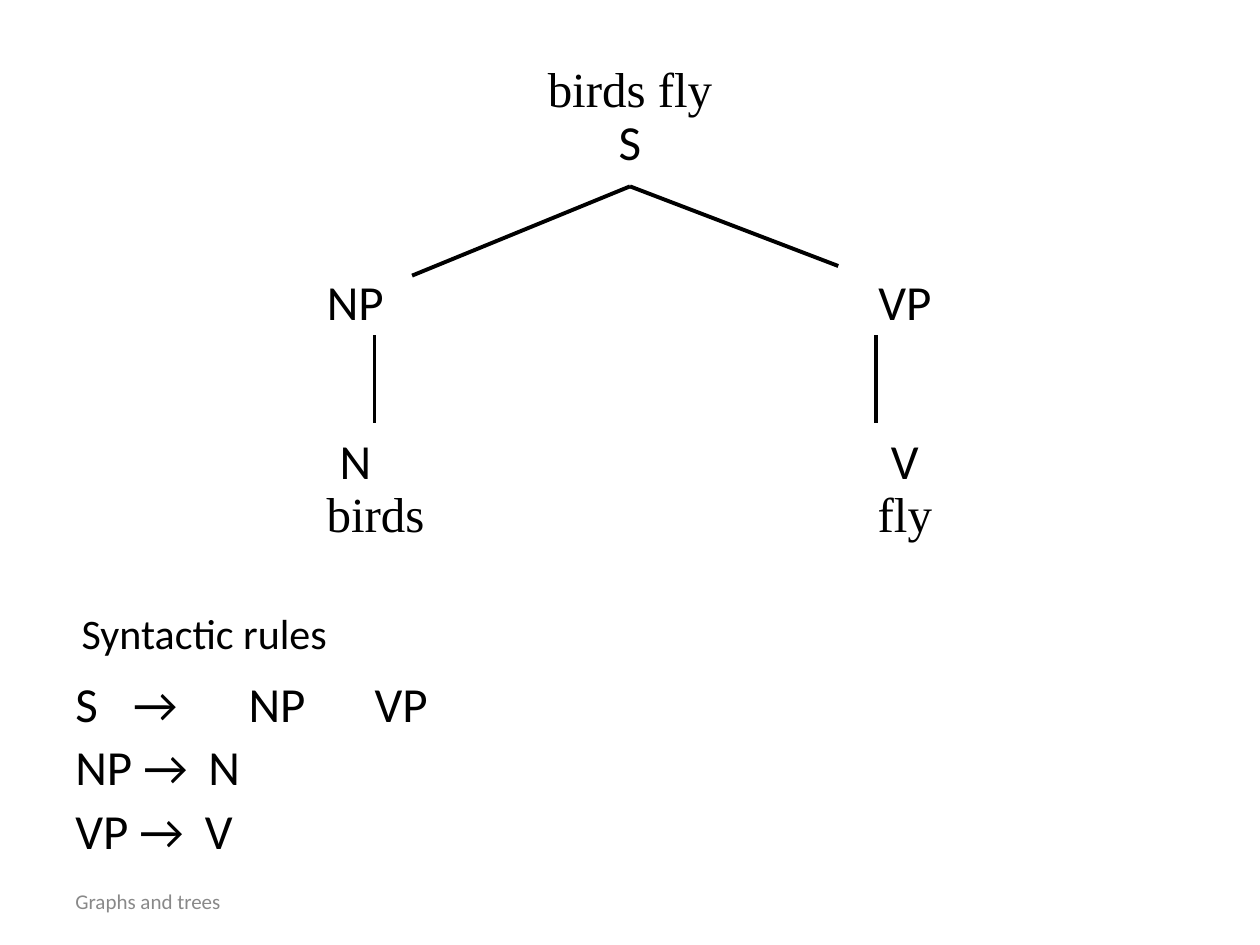
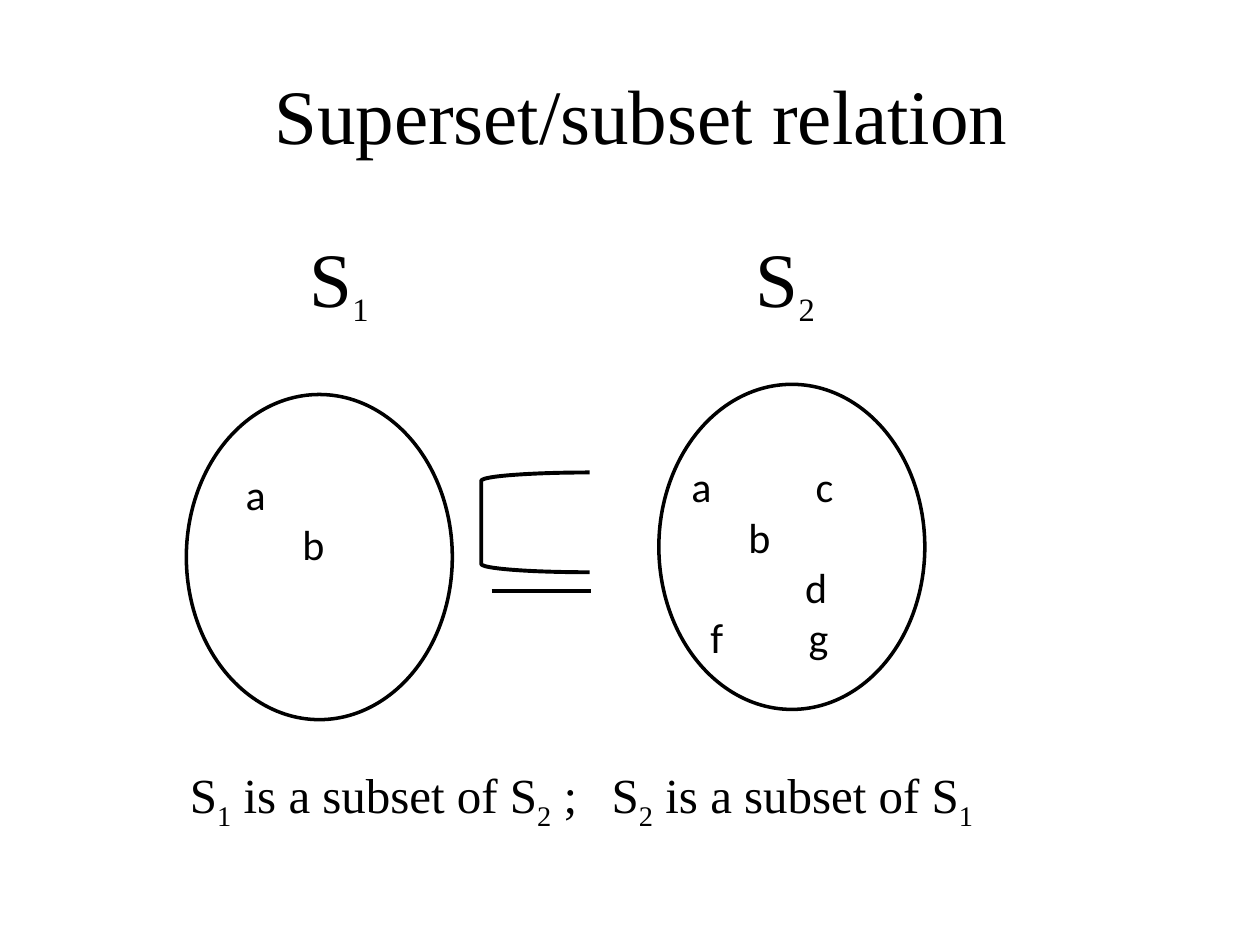
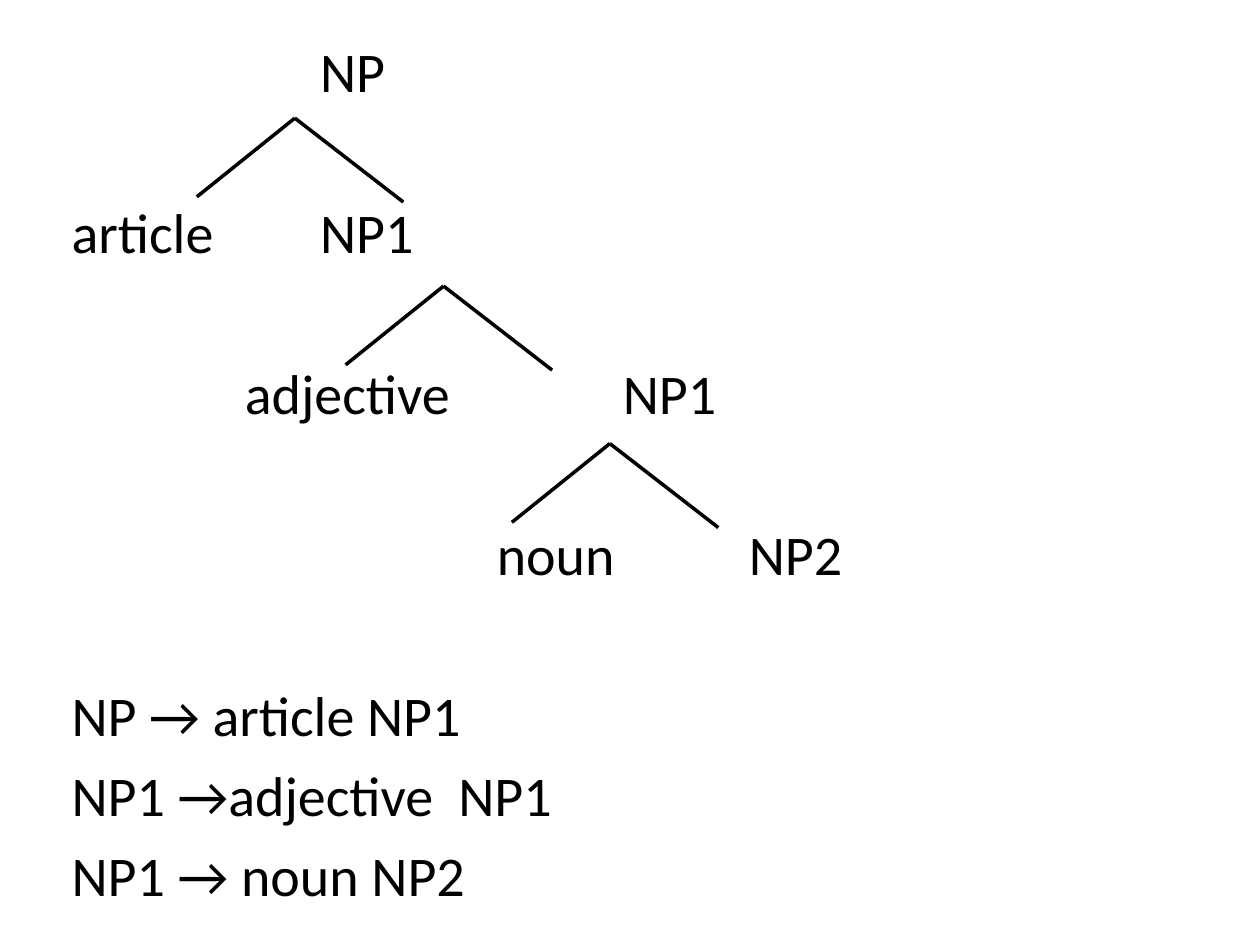
from lxml.etree import SubElement
from pptx import Presentation
from pptx.dml.color import RGBColor
from pptx.enum.shapes import MSO_CONNECTOR as Connector, MSO_SHAPE as Shape
from pptx.enum.text import MSO_ANCHOR as Anchor, PP_ALIGN as Align
from pptx.oxml.ns import qn
from pptx.util import Pt

# Shared look
BLACK, GREY = "000000", "898989"
SANS, SERIF = "Calibri", "Times New Roman"


def color(hex_string):
    return RGBColor.from_string(hex_string)


def add_text_box(slide, left, top, width, height, anchor=Anchor.TOP):
    frame = slide.shapes.add_textbox(Pt(left), Pt(top), Pt(width), Pt(height)).text_frame
    frame.word_wrap = True
    frame.vertical_anchor = anchor
    return frame


def add_paragraph(frame, parts, size, font=SANS, ink=BLACK, stops=(), tab_align="l",
                  before=0, spacing=None, align=Align.LEFT, subscript_size=None):
    """Write one paragraph; every second item of parts is a subscript."""
    first = frame.paragraphs[0]
    paragraph = frame.add_paragraph() if first.runs else first
    paragraph.alignment = align
    paragraph.space_before = Pt(before)
    if spacing:
        paragraph.line_spacing = spacing
    if stops:
        tab_list = SubElement(paragraph._p.get_or_add_pPr(), qn("a:tabLst"))
        for stop in stops:
            SubElement(tab_list, qn("a:tab"), pos=str(Pt(stop)), algn=tab_align)
    paragraph.font.size = Pt(size)
    paragraph.font.name = font
    paragraph.font.color.rgb = color(ink)
    for index, text in enumerate([parts] if isinstance(parts, str) else parts):
        run = paragraph.add_run()
        run.text = text
        if index % 2:
            run.font.size = Pt(subscript_size or size)
            run._r.get_or_add_rPr().set("baseline", "-25000")


def add_line(slide, start, end, weight):
    line = slide.shapes.add_connector(Connector.STRAIGHT, *map(Pt, start + end))
    line.line.color.rgb = color(BLACK)
    line.line.width = Pt(weight)
    SubElement(line._element.spPr, qn("a:effectLst"))


def add_fork(slide, apex, ends, weight):
    for end in ends:
        add_line(slide, apex, end, weight)


def add_outline(slide, kind, left, top, width, height, weight):
    shape = slide.shapes.add_shape(kind, Pt(left), Pt(top), Pt(width), Pt(height))
    shape.shadow.inherit = False
    shape.fill.background()
    shape.line.color.rgb = color(BLACK)
    shape.line.width = Pt(weight)


def build_sentence_tree(slide):
    footer = add_text_box(slide, 36, 500.4, 168, 28.8, Anchor.MIDDLE)
    add_paragraph(footer, "Graphs and trees", 12, ink=GREY)

    # Tree labels, then the rules below them
    body = add_text_box(slide, 36, 39, 648, 463)
    add_paragraph(body, "birds fly", 28, SERIF, spacing=0.7, align=Align.CENTER)
    add_paragraph(body, "S", 28, before=7, spacing=0.7, align=Align.CENTER)
    for text, font, before, noun_center in (
        ("\tNP\tVP", SANS, 67.5, 160),
        ("\tN\tV", SANS, 67.5, 160),
        ("\tbirds\tfly", SERIF, 7, 171.5),
    ):
        add_paragraph(body, text, 28, font, stops=(noun_center, 474), tab_align="ctr",
                      before=before, spacing=0.7)
    for text, stops, before in (
        ("S\t→\tNP\tVP", (33, 99, 171), 79.5),
        ("NP →\tN", (76,), 6),
        ("VP →\tV", (74,), 6),
    ):
        add_paragraph(body, text, 28, stops=stops, before=before, spacing=0.9)

    # Branches
    add_fork(slide, (360, 106.5), ((235.5, 157.5), (479, 152)), 2.25)
    for x in (214, 500.5):
        add_line(slide, (x, 191.5), (x, 242), 2.25)

    heading = add_text_box(slide, 39.6, 343.5, 264, 36)
    add_paragraph(heading, "Syntactic rules", 24)


def build_subset_relation(slide):
    # Sets and their members
    for left, top in ((106.5, 225.4), (376.5, 219.6)):
        add_outline(slide, Shape.OVAL, left, top, 152, 185.8, 2)
    for left, top, height, rows in (
        (133.2, 264.2, 194.4, (("a", ()), ("\tb", (32.5,)))),
        (388, 259.7, 122, (("a\tc", (71,)), ("\tb", (32.5,)),
                           ("\td", (65,)), ("\tf\tg", (10.8, 67)))),
    ):
        members = add_text_box(slide, left, top, 135, height)
        for text, stops in rows:
            add_paragraph(members, text, 24, stops=stops)

    title = add_text_box(slide, 42.5, 20.2, 648, 90, Anchor.MIDDLE)
    add_paragraph(title, "Superset/subset relation", 44, SERIF, align=Align.CENTER)
    names = add_text_box(slide, 64.8, 128.2, 516, 63.4)
    add_paragraph(names, ("\tS", "1", "\tS", "2"), 44, SERIF, stops=(105, 360),
                  subscript_size=32)

    # Subset sign
    add_outline(slide, Shape.LEFT_BRACKET, 275, 270, 62, 57, 2.25)
    add_line(slide, (281, 337.7), (337.5, 337.7), 2.25)

    caption = add_text_box(slide, 101.5, 433.5, 528.5, 45.4)
    add_paragraph(caption, ("S", "1", " is a subset of S", "2", " ;\tS", "2",
                            " is a subset of S", "1"), 28, SERIF, stops=(241,))


def build_noun_phrase_tree(slide):
    body = add_text_box(slide, 33.8, 17.5, 658, 523.5)
    level_gap, rule_gap = 53.5, 7.5
    column = [27 + 72 * step for step in range(6)]
    for text, stops, before in (
        ("\tNP", (142,), 0),
        ("article\tNP1", (142,), level_gap),
        ("\tadjective\tNP1", (column[1], column[4]), level_gap),
        ("\tnoun\tNP2", (column[3], column[5]), level_gap),
        ("NP → article NP1", (), level_gap),
        ("NP1 →adjective\tNP1", (221,), rule_gap),
        ("NP1 → noun NP2", (), rule_gap),
    ):
        add_paragraph(body, text, 32, stops=stops, before=before)

    # Branches
    for x, y in ((168.5, 67.5), (253.5, 163.5), (348.5, 253.5)):
        add_fork(slide, (x, y), ((x - 56, y + 45), (x + 62, y + 48)), 2)


def main():
    presentation = Presentation()
    presentation.slide_width = Pt(720)
    presentation.slide_height = Pt(540)
    blank = presentation.slide_layouts[6]
    for build in (build_sentence_tree, build_subset_relation, build_noun_phrase_tree):
        build(presentation.slides.add_slide(blank))
    presentation.save("out.pptx")


if __name__ == "__main__":
    main()
